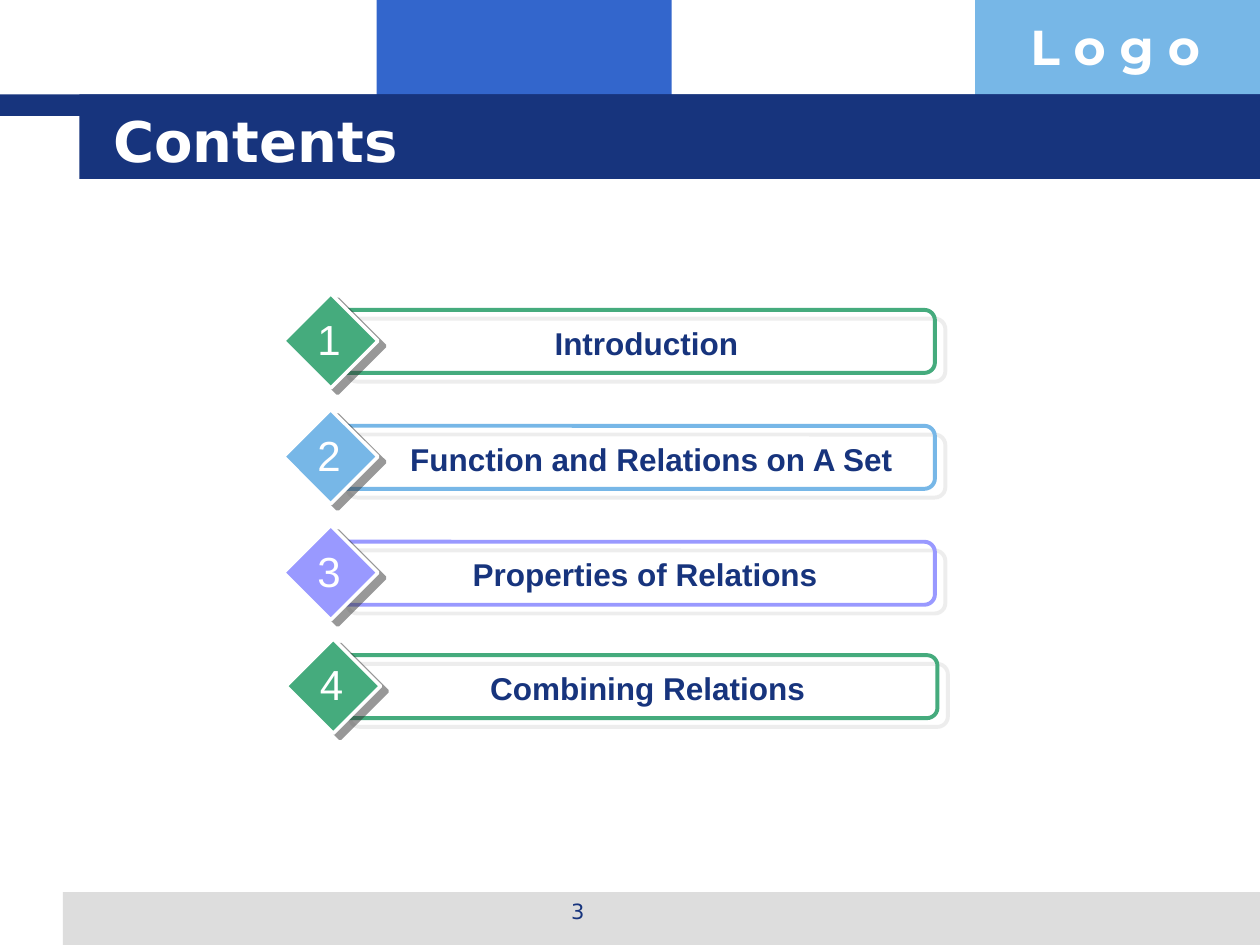
import pptx
import pptx.util
import pptx.dml.color
import pptx.enum.shapes
import pptx.enum.text
import pptx.oxml
import pptx.oxml.ns

Inches = pptx.util.Inches
Pt = pptx.util.Pt
RGBColor = pptx.dml.color.RGBColor
SHAPE = pptx.enum.shapes.MSO_SHAPE
ALIGN = pptx.enum.text.PP_ALIGN
ANCHOR = pptx.enum.text.MSO_ANCHOR
AUTO_SIZE = pptx.enum.text.MSO_AUTO_SIZE

NAVY = RGBColor(0x17, 0x34, 0x7D)
BLUE = RGBColor(0x33, 0x66, 0xCC)
SKY = RGBColor(0x77, 0xB7, 0xE7)
GREEN = RGBColor(0x45, 0xAB, 0x7D)
VIOLET = RGBColor(0x99, 0x99, 0xFF)
PALE_GRAY = RGBColor(0xDD, 0xDD, 0xDD)
DARK_GRAY = RGBColor(0x33, 0x33, 0x33)
WHITE = RGBColor(0xFF, 0xFF, 0xFF)

# Left, top, width, height and fill of the page frame
BANDS = [
    (2.99, 0, 2.34, 0.92, BLUE),
    (7.74, 0, 2.26, 0.92, SKY),
    (0.5, 7.08, 9.5, 0.42, PALE_GRAY),
    (0, 0.75, 10, 0.17, NAVY),
    (0.63, 0.75, 9.37, 0.67, NAVY),
]

# Wording, colour, left and top of the diamond, left of the label
ITEMS = [
    ("Introduction", GREEN, 2.25, 2.33, 2.92),
    ("Function and Relations on A Set", SKY, 2.25, 3.25, 2.96),
    ("Properties of Relations", VIOLET, 2.25, 4.17, 2.91),
    ("Combining Relations", GREEN, 2.27, 5.07, 2.93),
]


def add_shape(page, kind, left, top, width, height, fill=None, line=None, line_width=0):
    shape = page.shapes.add_shape(
        kind, Inches(left), Inches(top), Inches(width), Inches(height))
    shape.shadow.inherit = False
    if fill is None:
        shape.fill.background()
    else:
        shape.fill.solid()
        shape.fill.fore_color.rgb = fill
    if line is None:
        shape.line.fill.background()
    else:
        shape.line.color.rgb = line
        shape.line.width = Pt(line_width)
    return shape


def cast_shadow(shape, color, distance, angle):
    """Give the shape a hard, half-transparent shadow."""
    effects = shape.element.spPr.find(pptx.oxml.ns.qn("a:effectLst"))
    effects.append(pptx.oxml.parse_xml(
        f'<a:outerShdw {pptx.oxml.ns.nsdecls("a")} blurRad="0" dist="{Pt(distance)}" '
        f'dir="{angle * 60000}" algn="ctr" rotWithShape="0">'
        f'<a:srgbClr val="{color}"><a:alpha val="50000"/></a:srgbClr></a:outerShdw>'))


def write(shape, text, size, font, color, bold=False, align=ALIGN.LEFT):
    para = shape.text_frame.paragraphs[0]
    para.alignment = align
    span = para.add_run()
    span.text = text
    span.font.size = Pt(size)
    span.font.name = font
    span.font.bold = bold
    span.font.color.rgb = color


def add_text(page, left, top, width, height, *style, wrap=True, **options):
    box = page.shapes.add_textbox(
        Inches(left), Inches(top), Inches(width), Inches(height))
    box.text_frame.word_wrap = wrap
    write(box, *style, **options)


def set_title(page, text):
    title = page.shapes.title
    title.left, title.top = Inches(0.8), Inches(0.8)
    title.width, title.height = Inches(8.53), Inches(0.62)
    title.text_frame.auto_size = AUTO_SIZE.NONE
    title.text_frame.vertical_anchor = ANCHOR.MIDDLE
    write(title, text, 32, "DejaVu Sans", WHITE, bold=True)


def add_item(page, number, text, color, left, top, label_left):
    bar = add_shape(page, SHAPE.ROUNDED_RECTANGLE, left + 0.42, top + 0.13, 4.75, 0.5,
                    line=color, line_width=2.25)
    cast_shadow(bar, PALE_GRAY, 7.8, 40)
    diamond = add_shape(page, SHAPE.DIAMOND, left, top, 0.75, 0.75,
                        fill=color, line=WHITE, line_width=2)
    cast_shadow(diamond, DARK_GRAY, 5, 37)
    add_text(page, label_left, top + 0.19, 4.42, 0.4,
             text, 18, "Arial", NAVY, bold=True, align=ALIGN.CENTER)
    add_text(page, left + 0.17, top + 0.11, 0.38, 0.5,
             str(number), 24, "Arial", WHITE, align=ALIGN.CENTER, wrap=False)


def main():
    deck = pptx.Presentation()
    deck.slide_width, deck.slide_height = Inches(10), Inches(7.5)
    page = deck.slides.add_slide(deck.slide_layouts.get_by_name("Title Only"))

    # Frame; the title is moved in front of its band
    for left, top, width, height, fill in BANDS:
        add_shape(page, SHAPE.RECTANGLE, left, top, width, height, fill=fill)
    add_text(page, 8.08, 0.08, 1.93, 0.57, "L o g o", 28, "Montserrat", WHITE, bold=True)
    add_text(page, 3.42, 7.08, 2.33, 0.35, "3", 12, "DejaVu Sans", NAVY,
             align=ALIGN.CENTER)
    set_title(page, "Contents")
    page.shapes.element.append(page.shapes.title.element)

    # Numbered contents
    for number, item in enumerate(ITEMS, start=1):
        add_item(page, number, *item)

    deck.save("out.pptx")


if __name__ == "__main__":
    main()
